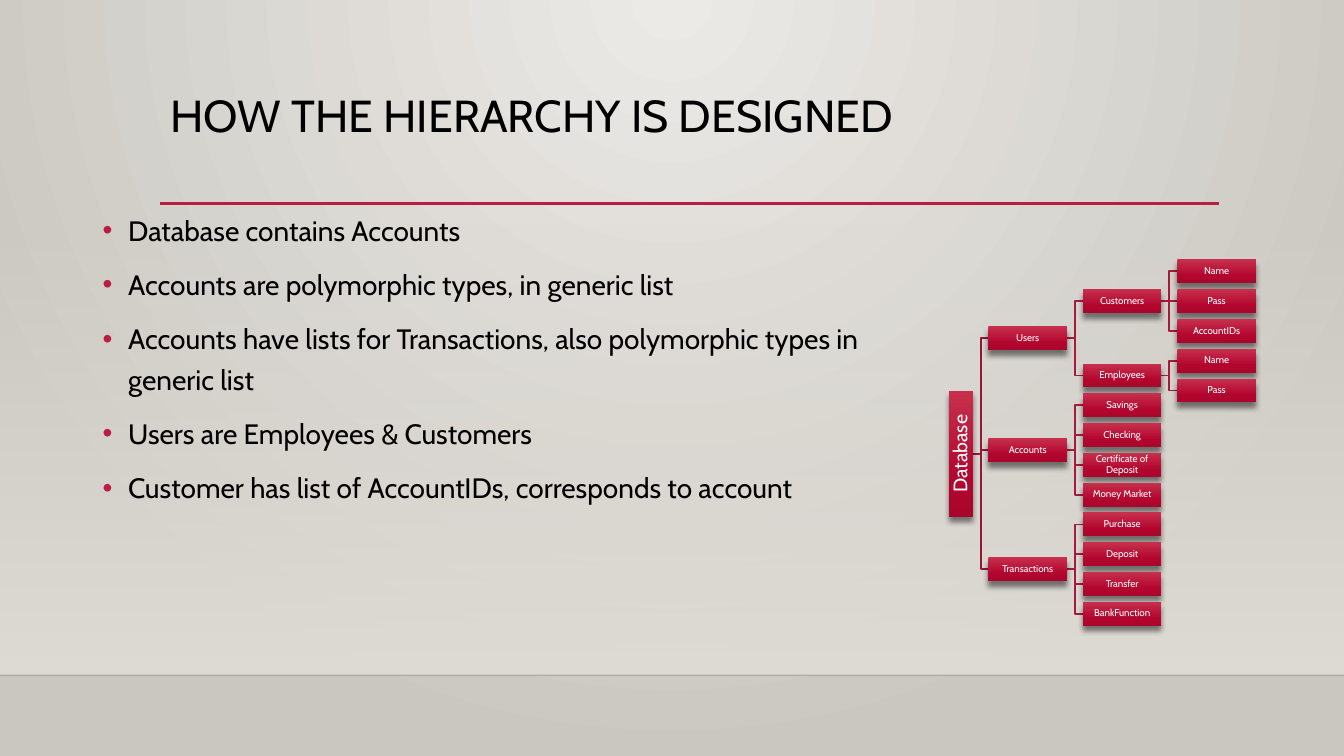
"""Build the slide that explains how the account database hierarchy is designed."""

from collections import defaultdict
from dataclasses import dataclass
from typing import Any

from lxml.etree import SubElement
from pptx import Presentation
from pptx.dml.color import RGBColor
from pptx.enum.shapes import MSO_CONNECTOR, MSO_SHAPE
from pptx.enum.text import MSO_ANCHOR, PP_ALIGN
from pptx.oxml import parse_xml
from pptx.oxml.ns import nsdecls, qn
from pptx.util import Cm, Pt


@dataclass(frozen=True)
class Stop:
    position: int
    color: str
    opacity: int = 100


@dataclass(frozen=True)
class Theme:
    font: str = "Cabin"
    title_size: int = 32
    bullet_size: int = 20
    root_size: int = 14
    node_size: int = 7
    text: str = "000000"
    node_text: str = "FFFFFF"
    accent: str = "B71E42"
    floor_edge: str = "000001"
    root_branch: str = "931835"
    branch: str = "A61B3C"
    backdrop: tuple[Stop, ...] = (Stop(0, "ECEAE7"), Stop(100, "CAC7C1"))
    haze: tuple[Stop, ...] = (Stop(0, "DFDBD5", 0), Stop(100, "DFDBD5"))
    node: tuple[Stop, ...] = (Stop(0, "C7304C"), Stop(69, "B3062F"), Stop(100, "AA062C"))


@dataclass(frozen=True)
class Node:
    label: str
    children: tuple["Node", ...] = ()


@dataclass(frozen=True)
class Placed:
    label: str
    depth: int
    row: float
    children: tuple["Placed", ...]

    @property
    def left(self) -> float:
        return FIRST_COLUMN + (self.depth - 1) * COLUMN_STEP if self.depth else ROOT_LEFT

    @property
    def right(self) -> float:
        return self.left + (NODE_WIDTH if self.depth else NODE_HEIGHT)

    @property
    def middle(self) -> float:
        return FIRST_ROW + self.row * ROW_STEP


THEME = Theme()
SLIDE_WIDTH, SLIDE_HEIGHT = 33.87, 19.05
ROOT_LEFT, FIRST_COLUMN, COLUMN_STEP = 23.92, 24.91, 2.38
FIRST_ROW, ROW_STEP = 6.84, 0.75
NODE_WIDTH, NODE_HEIGHT, ROOT_LENGTH = 1.98, 0.6, 3.17
FLOOR_TOP = 17.02
LINEAR = '<a:lin ang="5400000" scaled="0"/>'
RADIAL = ('<a:path path="circle"><a:fillToRect l="43000" t="0" r="43000" b="100000"/>'
          "</a:path>")

TITLE = "HOW THE HIERARCHY IS DESIGNED"
BULLETS = (
    "Database contains Accounts",
    "Accounts are polymorphic types, in generic list",
    "Accounts have lists for Transactions, also polymorphic types in generic list",
    "Users are Employees & Customers",
    "Customer has list of AccountIDs, corresponds to account",
)


def leaves(*labels: str) -> tuple[Node, ...]:
    return tuple(Node(label) for label in labels)


DATABASE = Node("Database", (
    Node("Users", (
        Node("Customers", leaves("Name", "Pass", "AccountIDs")),
        Node("Employees", leaves("Name", "Pass")),
    )),
    Node("Accounts", leaves("Savings", "Checking", "Certificate of Deposit", "Money Market")),
    Node("Transactions", leaves("Purchase", "Deposit", "Transfer", "BankFunction")),
))


def apply(target: Any, values: dict[str, Any]) -> None:
    for name, value in values.items():
        setattr(target, name, value)


def gradient(stops: tuple[Stop, ...], direction: str) -> Any:
    colors = "".join(
        f'<a:gs pos="{stop.position * 1000}"><a:srgbClr val="{stop.color}">'
        f'<a:alpha val="{stop.opacity * 1000}"/></a:srgbClr></a:gs>'
        for stop in stops
    )
    return parse_xml(f'<a:gradFill {nsdecls("a")} rotWithShape="0">'
                     f"<a:gsLst>{colors}</a:gsLst>{direction}</a:gradFill>")


def paint_background(slide: Any) -> None:
    background = parse_xml(f'<p:bg {nsdecls("p", "a")}><p:bgPr><a:effectLst/></p:bgPr></p:bg>')
    background[0].insert(0, gradient(THEME.backdrop, RADIAL))
    slide._element.cSld.insert(0, background)


def add_panel(slide: Any, left: float, top: float, width: float, height: float,
              stops: tuple[Stop, ...]) -> Any:
    panel = slide.shapes.add_shape(MSO_SHAPE.RECTANGLE, Cm(left), Cm(top), Cm(width), Cm(height))
    panel.shadow.inherit = False
    panel.line.fill.background()
    panel._element.spPr.insert(2, gradient(stops, LINEAR))
    return panel


def add_line(slide: Any, start: tuple[float, float], end: tuple[float, float],
             color: str, width: float, opacity: int = 100) -> None:
    kind = MSO_CONNECTOR.STRAIGHT if start[1] == end[1] else MSO_CONNECTOR.ELBOW
    line = slide.shapes.add_connector(kind, *map(Cm, start + end))
    line.line.width = Pt(width)
    line.line.color.rgb = RGBColor.from_string(color)
    tint = line._element.spPr.find(".//" + qn("a:srgbClr"))
    SubElement(tint, qn("a:alpha"), val=str(opacity * 1000))
    SubElement(line._element.spPr, qn("a:effectLst"))


def write(paragraph: Any, text: str, size: int, color: str, layout: dict[str, Any]) -> None:
    run = paragraph.add_run()
    run.text = text
    apply(run.font, {"name": THEME.font, "size": Pt(size)})
    run.font.color.rgb = RGBColor.from_string(color)
    apply(paragraph, layout)


def add_bullet(paragraph: Any) -> None:
    properties = paragraph._p.get_or_add_pPr()
    apply_indent = {"marL": Cm(0.64), "indent": Cm(-0.64)}
    for name, value in apply_indent.items():
        properties.set(name, str(value))
    SubElement(SubElement(properties, qn("a:buClr")), qn("a:srgbClr"), val=THEME.accent)
    SubElement(properties, qn("a:buFont"), typeface="Arial")
    SubElement(properties, qn("a:buChar"), char="•")


def add_text_frame(slide: Any, left: float, top: float, width: float, height: float) -> Any:
    frame = slide.shapes.add_textbox(Cm(left), Cm(top), Cm(width), Cm(height)).text_frame
    frame.word_wrap = True
    return frame


def place(node: Node, next_rows: dict[int, float], depth: int = 0) -> Placed:
    children = tuple(place(child, next_rows, depth + 1) for child in node.children)
    row = (children[0].row + children[-1].row) / 2 if children else next_rows[depth]
    next_rows[depth] = row + 1
    return Placed(node.label, depth, row, children)


def draw_branches(slide: Any, parent: Placed) -> None:
    color = THEME.branch if parent.depth else THEME.root_branch
    for child in parent.children:
        add_line(slide, (parent.right, parent.middle), (child.left, child.middle), color, 1.25)
        draw_branches(slide, child)


def draw_nodes(slide: Any, node: Placed) -> None:
    width = NODE_WIDTH if node.depth else ROOT_LENGTH
    box = add_panel(slide, (node.left + node.right - width) / 2, node.middle - NODE_HEIGHT / 2,
                    width, NODE_HEIGHT, THEME.node)
    box.rotation = 0 if node.depth else 270
    shadow = SubElement(box._element.spPr.find(qn("a:effectLst")), qn("a:outerShdw"),
                        blurRad=str(Pt(4)), dist=str(Pt(4)), dir="5400000", rotWithShape="0")
    SubElement(SubElement(shadow, qn("a:srgbClr"), val=THEME.text), qn("a:alpha"), val="48000")
    margins = dict.fromkeys(("margin_left", "margin_top", "margin_right", "margin_bottom"), Cm(0.01))
    apply(box.text_frame, margins | {"word_wrap": True, "vertical_anchor": MSO_ANCHOR.MIDDLE})
    write(box.text_frame.paragraphs[0], node.label,
          THEME.node_size if node.depth else THEME.root_size, THEME.node_text,
          {"alignment": PP_ALIGN.CENTER, "line_spacing": 0.9})
    for child in node.children:
        draw_nodes(slide, child)


def main() -> None:
    deck = Presentation()
    apply(deck, {"slide_width": Cm(SLIDE_WIDTH), "slide_height": Cm(SLIDE_HEIGHT)})
    slide = deck.slides.add_slide(deck.slide_layouts[6])
    paint_background(slide)
    add_panel(slide, 0, 5.61, SLIDE_WIDTH, FLOOR_TOP - 5.61, THEME.haze)
    add_line(slide, (0, FLOOR_TOP), (SLIDE_WIDTH, FLOOR_TOP), THEME.floor_edge, 1, 20)
    add_line(slide, (4.04, 5.13), (30.73, 5.13), THEME.accent, 2.5)
    title = add_text_frame(slide, 4.04, 2.24, 26.67, 2.92)
    write(title.paragraphs[0], TITLE, THEME.title_size, THEME.text, {"line_spacing": 0.9})
    body = add_text_frame(slide, 2.34, 5.08, 19.81, 12.09)
    for index, bullet in enumerate(BULLETS):
        paragraph = body.add_paragraph() if index else body.paragraphs[0]
        write(paragraph, bullet, THEME.bullet_size, THEME.text,
              {"line_spacing": 1.2, "space_before": Pt(10)})
        add_bullet(paragraph)
    hierarchy = place(DATABASE, defaultdict(float))
    draw_branches(slide, hierarchy)
    draw_nodes(slide, hierarchy)
    deck.save("out.pptx")


if __name__ == "__main__":
    main()
